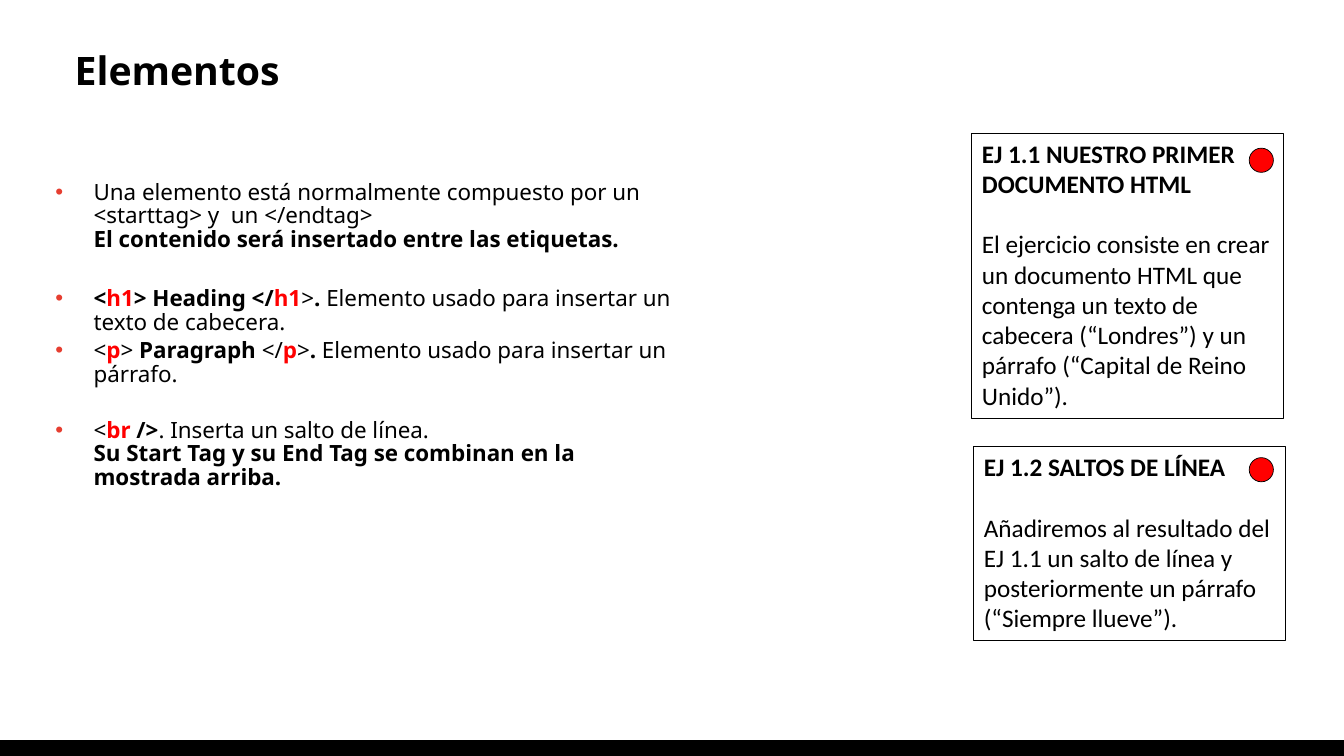
from dataclasses import dataclass

from lxml.etree import SubElement
from pptx import Presentation
from pptx.dml.color import RGBColor
from pptx.enum.shapes import MSO_SHAPE as Preset
from pptx.enum.text import MSO_ANCHOR as Anchor, MSO_AUTO_SIZE as AutoSize, PP_ALIGN as Align
from pptx.oxml.ns import qn
from pptx.util import Pt

EMU_PER_PX = 9144
COLORS = {"black": "000000", "red": "FF0000", "bullet": "E63E30"}
HEADING_FONT = "Noto Sans"
EXERCISE_FONT = "Calibri"


@dataclass(frozen=True)
class Span:
    text: str
    bold: bool = False
    color: str = "black"
    break_before: bool = False


@dataclass(frozen=True)
class Bullet:
    space_before: float
    spans: tuple[Span, ...]


@dataclass(frozen=True)
class Exercise:
    left: int
    top: int
    height: int
    dot_top: int
    heading: str
    body: str


def tag(name: str) -> Span:
    return Span(name, True, "red")


BULLETS = (
    Bullet(3.2, (
        Span("Una elemento está normalmente compuesto por un <starttag> y  un </endtag>"),
        Span("El contenido será insertado entre las etiquetas.", True, break_before=True),
    )),
    Bullet(25.4, (
        Span("<", True), tag("h1"), Span("> Heading </", True), tag("h1"), Span(">"),
        Span(".", True), Span(" Elemento usado para insertar un texto de cabecera."),
    )),
    Bullet(3.2, (
        Span("<"), tag("p"), Span("> "), Span("Paragraph", True), Span(" </"), tag("p"),
        Span(">"), Span(".", True), Span(" Elemento usado para insertar un párrafo."),
    )),
    Bullet(23, (
        Span("<"), tag("br"), Span(" />", True), Span(". Inserta un salto de línea."),
        Span("Su Start Tag y su End Tag se combinan en la mostrada arriba.", True,
             break_before=True),
    )),
)

EXERCISES = (
    Exercise(964, 132, 283, 147, "EJ 1.1 NUESTRO PRIMER DOCUMENTO HTML",
             "El ejercicio consiste en crear un documento HTML que contenga un texto de "
             "cabecera (“Londres”) y un párrafo (“Capital de Reino Unido”)."),
    Exercise(966, 443, 192, 454, "EJ 1.2 SALTOS DE LÍNEA",
             "Añadiremos al resultado del EJ 1.1 un salto de línea y posteriormente un "
             "párrafo (“Siempre llueve”)."),
)


def px(length: int) -> int:
    return length * EMU_PER_PX


def rgb(name: str) -> RGBColor:
    return RGBColor.from_string(COLORS[name])


def add_span(para, span: Span, font: str, size: float) -> None:
    if span.break_before:
        para.add_line_break()
    run = para.add_run()
    run.text = span.text
    run.font.name = font
    run.font.size = Pt(size)
    run.font.bold = span.bold
    run.font.color.rgb = rgb(span.color)


def add_preset(shapes, preset, left: int, top: int, width: int, height: int,
               fill: str | None, line_width: float):
    shape = shapes.add_shape(preset, px(left), px(top), px(width), px(height))
    shape.shadow.inherit = False
    if fill:
        shape.fill.solid()
        shape.fill.fore_color.rgb = rgb(fill)
    else:
        shape.fill.background()
    shape.line.color.rgb = rgb("black")
    shape.line.width = Pt(line_width)
    return shape


def format_title(title) -> None:
    title.left, title.top, title.width, title.height = px(64), px(48), px(1211), px(49)
    frame = title.text_frame
    frame.auto_size = AutoSize.NONE
    frame.vertical_anchor = Anchor.MIDDLE
    para = frame.paragraphs[0]
    para.alignment = Align.LEFT
    para.line_spacing = 0.9
    add_span(para, Span("Elementos", True), HEADING_FONT, 28)


def set_bullet(para) -> None:
    properties = para._p.get_or_add_pPr()
    properties.set("marL", str(px(38)))
    properties.set("indent", str(px(-38)))
    color = SubElement(properties, qn("a:buClr"))
    SubElement(color, qn("a:srgbClr"), val=COLORS["bullet"])
    SubElement(properties, qn("a:buFont"), typeface="Arial")
    SubElement(properties, qn("a:buChar"), char="•")


def add_bullets(page) -> None:
    box = page.shapes.add_textbox(px(45), px(175), px(635), px(492))
    frame = box.text_frame
    frame.word_wrap = True
    for index, bullet in enumerate(BULLETS):
        para = frame.add_paragraph() if index else frame.paragraphs[0]
        para.line_spacing = 0.88
        para.space_before = Pt(bullet.space_before)
        set_bullet(para)
        for span in bullet.spans:
            add_span(para, span, HEADING_FONT, 16)


def add_exercise(page, exercise: Exercise) -> None:
    group = page.shapes.add_group_shape()
    box = add_preset(group.shapes, Preset.RECTANGLE, exercise.left, exercise.top,
                     309, exercise.height, None, 0.75)
    frame = box.text_frame
    frame.word_wrap = True
    frame.vertical_anchor = Anchor.TOP
    heading = frame.paragraphs[0]
    heading.alignment = Align.LEFT
    add_span(heading, Span(exercise.heading, True), EXERCISE_FONT, 18)
    body = frame.add_paragraph()
    body.alignment = Align.LEFT
    body.space_before = Pt(21.6)
    add_span(body, Span(exercise.body), EXERCISE_FONT, 18)
    add_preset(group.shapes, Preset.OVAL, 1239, exercise.dot_top, 24, 24, "red", 0.5)


def main() -> None:
    deck = Presentation()
    deck.slide_width, deck.slide_height = px(1333), px(750)
    page = deck.slides.add_slide(deck.slide_layouts[5])
    add_preset(page.shapes, Preset.RECTANGLE, 0, 735, 1333, 14, "black", 1)
    format_title(page.shapes.title)
    add_bullets(page)
    for exercise in EXERCISES:
        add_exercise(page, exercise)
    deck.save("out.pptx")


if __name__ == "__main__":
    main()
